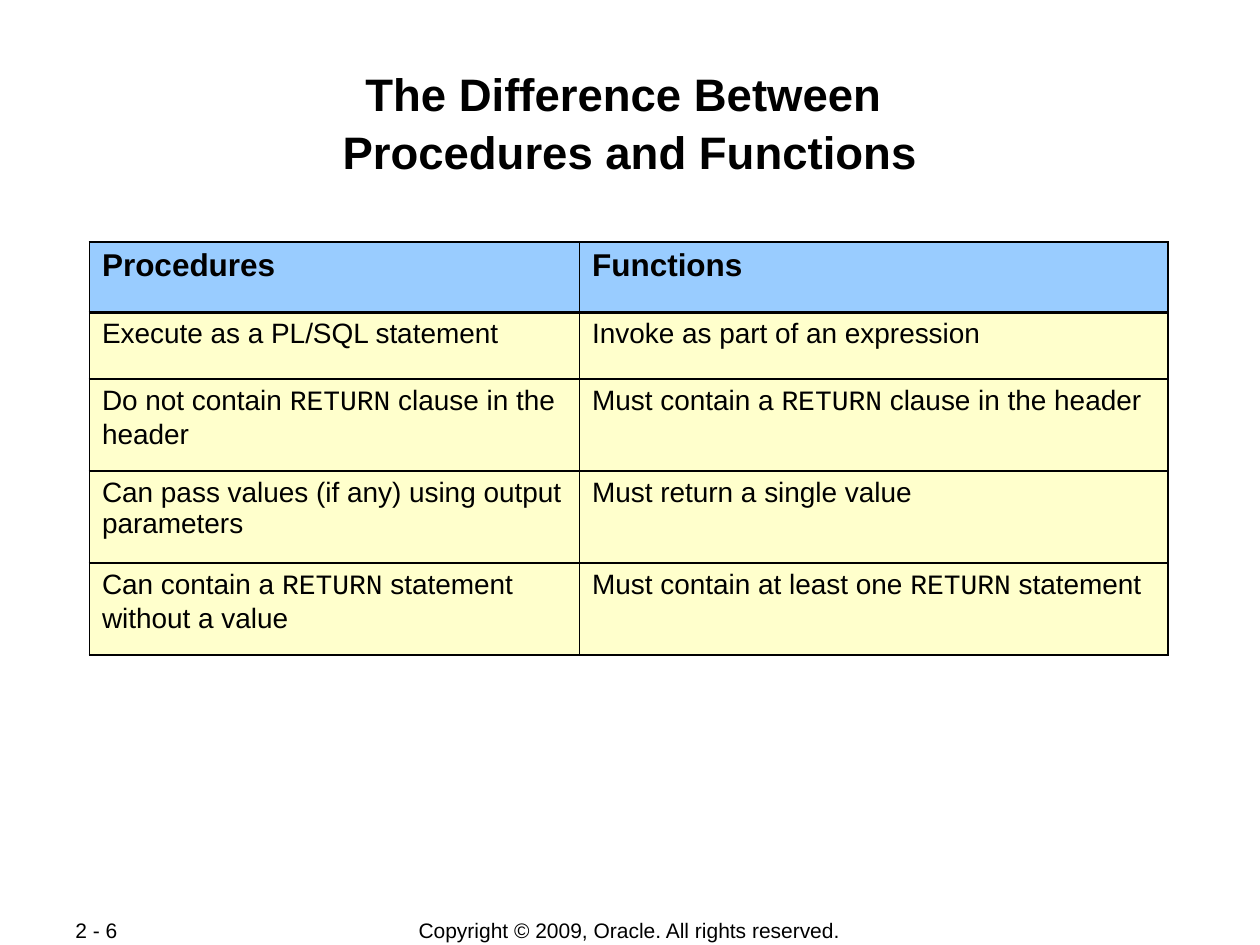
from lxml.etree import SubElement
from pptx import Presentation
from pptx.dml.color import RGBColor
from pptx.enum.text import MSO_ANCHOR, PP_ALIGN
from pptx.oxml.ns import qn
from pptx.util import Inches, Pt

BLACK = RGBColor(0x00, 0x00, 0x00)
HEADER_BLUE = RGBColor(0x99, 0xCC, 0xFF)
BODY_YELLOW = RGBColor(0xFF, 0xFF, 0xCC)

BODY_FONT = "Arial"
CODE_FONT = "Courier New"
KEYWORD = "RETURN"
THIN, THICK = Pt(1.08), Pt(2.21)

COLUMN_WIDTHS = [3.89, 4.67]
ROW_HEIGHTS = [0.56, 0.53, 0.73, 0.73, 0.73]
COMPARISON = [
    ("Procedures", "Functions"),
    ("Execute as a PL/SQL statement", "Invoke as part of an expression"),
    ("Do not contain RETURN clause in the header",
     "Must contain a RETURN clause in the header"),
    ("Can pass values (if any) using output parameters",
     "Must return a single value"),
    ("Can contain a RETURN statement without a value",
     "Must contain at least one RETURN statement"),
]


def style_font(font, size, bold=False, name=BODY_FONT):
    font.name = name
    font.size = Pt(size)
    font.bold = bold
    font.color.rgb = BLACK


def add_text(page, box, text, size, align, bold=False, wrap=False):
    shape = page.shapes.add_textbox(*map(Inches, box))
    frame = shape.text_frame
    frame.word_wrap = wrap
    frame.vertical_anchor = MSO_ANCHOR.MIDDLE
    frame.text = text
    para = frame.paragraphs[0]
    para.alignment = align
    for span in para.runs:
        style_font(span.font, size, bold)
    return frame


def add_title(page, box):
    frame = add_text(page, box, "The Difference Between \vProcedures and Functions",
                     26, PP_ALIGN.CENTER, bold=True, wrap=True)
    frame.margin_left = frame.margin_right = Inches(0.01)
    frame.margin_top = frame.margin_bottom = Inches(0.01)
    frame.paragraphs[0].line_spacing = 1.05


def add_border(cell, side, width):
    properties = cell._tc.get_or_add_tcPr()
    line = SubElement(properties, qn(f"a:ln{side}"), w=str(width))
    fill = SubElement(line, qn("a:solidFill"))
    SubElement(fill, qn("a:srgbClr"), val=str(BLACK))


def fill_cell(cell, text, row):
    is_header = row == 0
    para = cell.text_frame.paragraphs[0]
    for part in text.partition(KEYWORD):
        if part:
            span = para.add_run()
            span.text = part
            style_font(span.font, 18 if is_header else 16, is_header,
                       CODE_FONT if part == KEYWORD else BODY_FONT)
    add_border(cell, "L", THIN)
    add_border(cell, "R", THIN)
    add_border(cell, "T", THICK if row == 1 else THIN)
    add_border(cell, "B", THICK if is_header else THIN)
    cell.fill.solid()
    cell.fill.fore_color.rgb = HEADER_BLUE if is_header else BODY_YELLOW


def add_comparison(page, box):
    table = page.shapes.add_table(len(ROW_HEIGHTS), len(COLUMN_WIDTHS),
                                  *map(Inches, box)).table
    table.first_row = table.horz_banding = False
    for column, width in zip(table.columns, COLUMN_WIDTHS):
        column.width = Inches(width)
    for row, height in zip(table.rows, ROW_HEIGHTS):
        row.height = Inches(height)
    for row, texts in enumerate(COMPARISON):
        for column, text in enumerate(texts):
            fill_cell(table.cell(row, column), text, row)


def add_footer(page, box):
    left, top, width, height = box
    add_text(page, (left + 2.25, top, width - 2.25, height),
             "Copyright © 2009, Oracle. All rights reserved.", 12, PP_ALIGN.CENTER)
    add_text(page, (left, top, 1.06, height), "2 - 6", 12, PP_ALIGN.JUSTIFY)


def main():
    deck = Presentation()
    deck.slide_width, deck.slide_height = Inches(10), Inches(7.5)
    page = deck.slides.add_slide(deck.slide_layouts[6])
    add_footer(page, (0.5, 7.28, 6.74, 0.21))
    add_title(page, (0.67, 0.48, 8.66, 0.96))
    add_comparison(page, (0.71, 1.92, sum(COLUMN_WIDTHS), sum(ROW_HEIGHTS)))
    deck.save("out.pptx")


if __name__ == "__main__":
    main()
